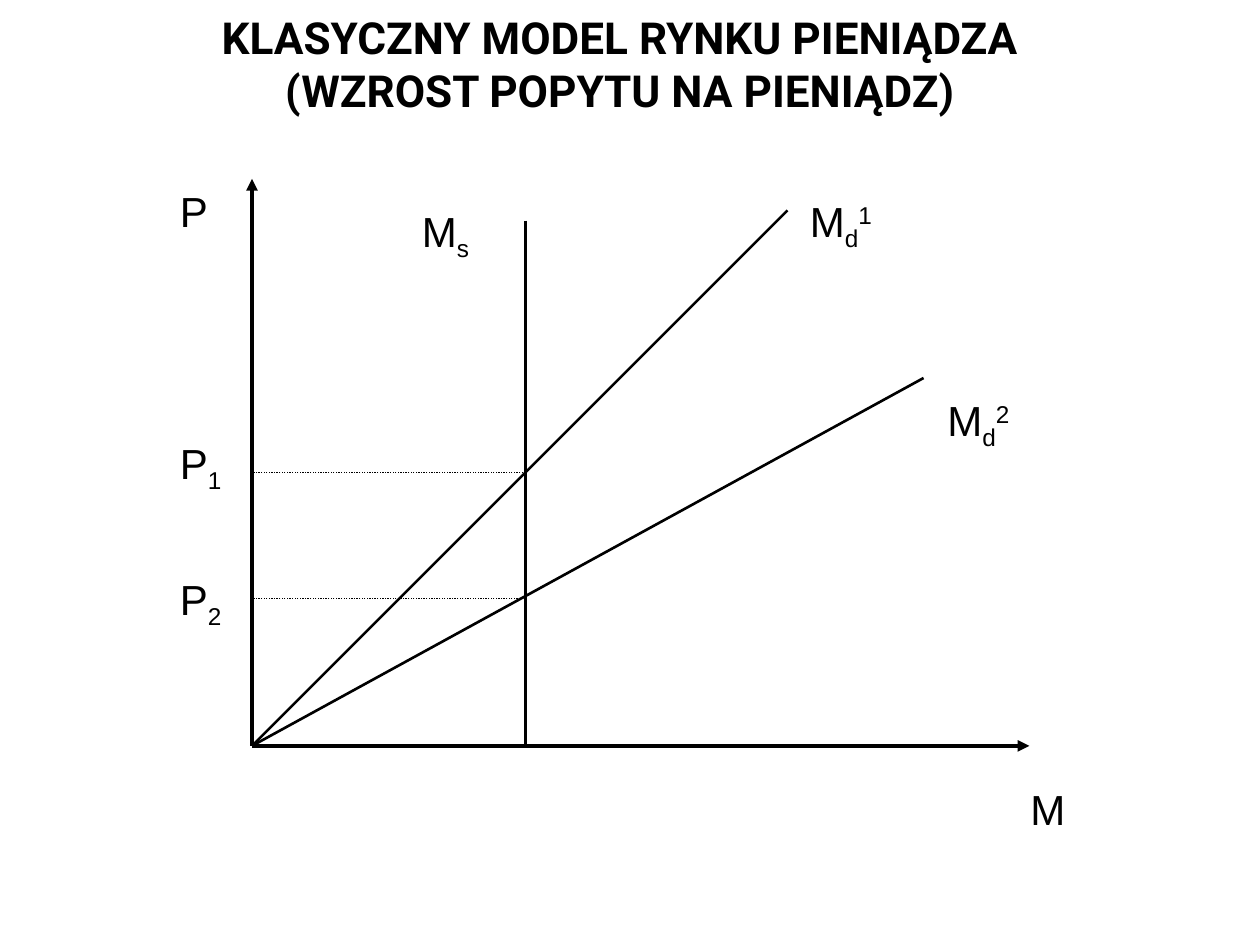
from lxml import etree
from pptx import Presentation
from pptx import util as u
from pptx.dml.color import RGBColor
from pptx.enum import dml, shapes, text
from pptx.oxml.ns import qn

TITLE = "KLASYCZNY MODEL RYNKU PIENIĄDZA\v(WZROST POPYTU NA PIENIĄDZ)"
BLACK = "000000"
SUB, SUP = -25000, 30000
X0, Y0 = 2, 5.92
SUPPLY = 4.17
P1, P2 = 3.75, 4.75

LINES = [
    ((X0, Y0), (X0, 1.42), 2.25, "arrow"),
    ((X0, Y0), (8.17, Y0), 2.25, "arrow"),
    ((X0, Y0), (6.25, 1.67), 1.5, "solid"),
    ((SUPPLY, 1.75), (SUPPLY, Y0), 1.5, "solid"),
    ((X0, Y0), (7.33, 3), 1.5, "solid"),
    ((SUPPLY, P1), (X0, P1), 0.75, "dotted"),
    ((SUPPLY, P2), (X0, P2), 0.75, "dotted"),
]
LABELS = [
    (1.33, 1.42, 0.58, [("P", 0)]),
    (8.08, 6.17, 0.5, [("M", 0)]),
    (3.25, 1.58, 0.75, [("M", 0), ("s", SUB)]),
    (6.33, 1.5, 0.75, [("M", 0), ("d", SUB), ("1", SUP)]),
    (7.42, 3.08, 0.83, [("M", 0), ("d", SUB), ("2", SUP)]),
    (1.33, 3.42, 0.58, [("P", 0), ("1", SUB)]),
    (1.33, 4.5, 0.58, [("P", 0), ("2", SUB)]),
]


def color(value):
    return RGBColor.from_string(value)


def style(font, name, size, bold=False):
    font.name, font.size, font.bold = name, u.Pt(size), bold
    font.color.rgb = color(BLACK)


def add_title(s):
    sp = s.shapes.title
    sp.left, sp.top, sp.width, sp.height = map(u.Inches, (0.67, 0, 8.5, 1))
    tf = sp.text_frame
    tf.text = TITLE
    tf.auto_size = text.MSO_AUTO_SIZE.NONE
    tf.vertical_anchor = text.MSO_ANCHOR.MIDDLE
    p = tf.paragraphs[0]
    p.alignment = text.PP_ALIGN.CENTER
    for r in p.runs:
        style(r.font, "Roboto", 25.2, True)


def add_line(s, start, end, width, kind):
    sp = s.shapes.add_connector(shapes.MSO_CONNECTOR.STRAIGHT, *map(u.Inches, start + end))
    sp.line.color.rgb = color(BLACK)
    sp.line.width = u.Pt(width)
    if kind == "dotted":
        sp.line.dash_style = dml.MSO_LINE.ROUND_DOT
    if kind == "arrow":
        etree.SubElement(sp.line._get_or_add_ln(), qn("a:tailEnd"), type="triangle")
    etree.SubElement(sp._element.spPr, qn("a:effectLst"))


def add_label(s, x, y, width, parts):
    tf = s.shapes.add_textbox(*map(u.Inches, (x, y, width, 0.5))).text_frame
    tf.word_wrap = True
    tf.auto_size = text.MSO_AUTO_SIZE.SHAPE_TO_FIT_TEXT
    for words, baseline in parts:
        r = tf.paragraphs[0].add_run()
        r.text = words
        style(r.font, "Arial", 24)
        if baseline:
            r._r.get_or_add_rPr().set("baseline", str(baseline))


def main():
    """Build the money market slide with rising money demand."""
    prs = Presentation()
    prs.slide_width, prs.slide_height = u.Inches(10), u.Inches(7.5)
    s = prs.slides.add_slide(prs.slide_layouts[5])
    add_title(s)
    for line in LINES:
        add_line(s, *line)
    for label in LABELS:
        add_label(s, *label)
    prs.save("out.pptx")


if __name__ == "__main__":
    main()
